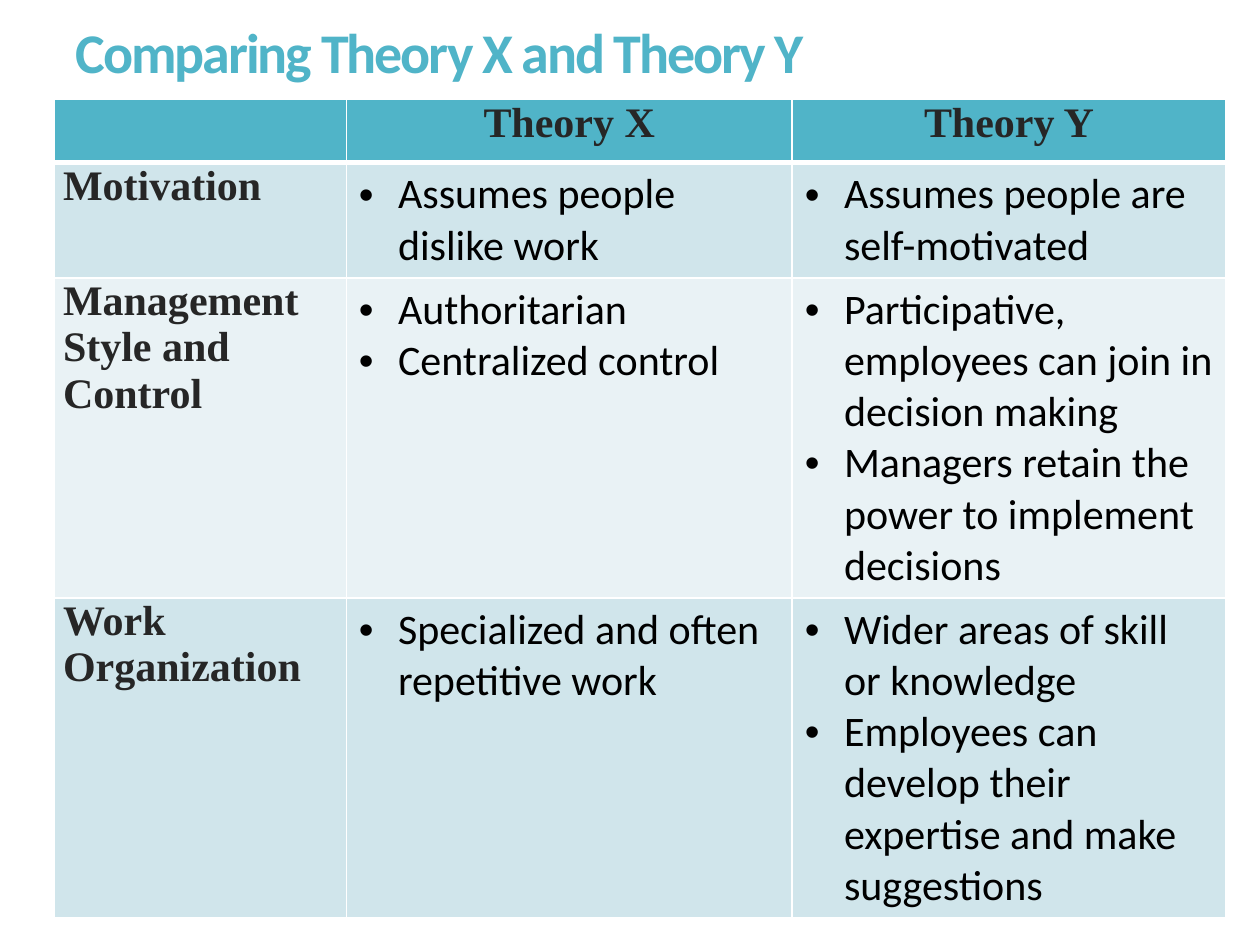
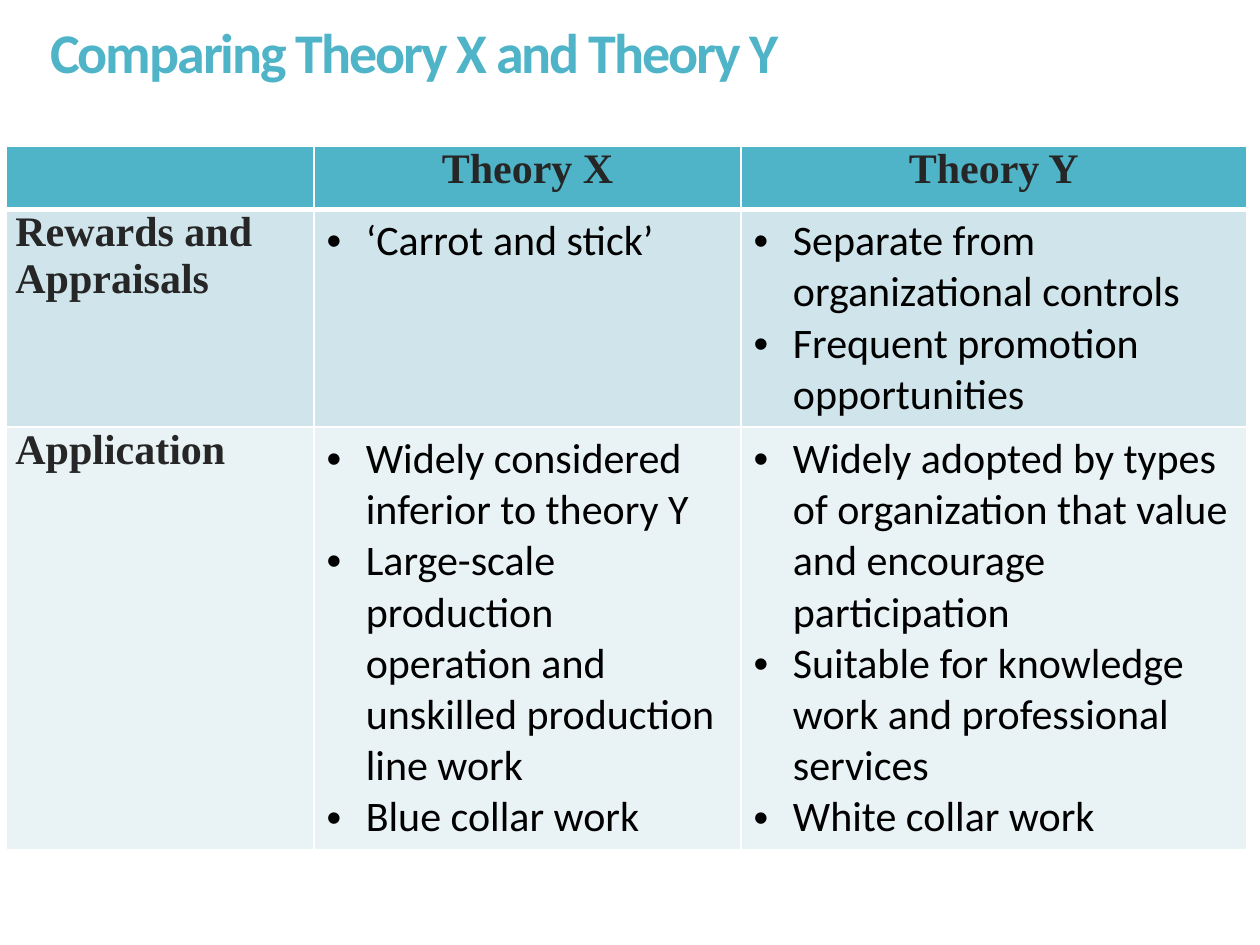
from pptx import Presentation
from pptx.dml.color import RGBColor
from pptx.enum.text import MSO_ANCHOR, MSO_AUTO_SIZE, PP_ALIGN
from pptx.oxml import parse_xml
from pptx.oxml.ns import nsdecls
from pptx.util import Cm, Pt

TEAL = RGBColor(0x50, 0xB4, 0xC8)
BAND_DARK = RGBColor(0xD0, 0xE5, 0xEB)
BAND_LIGHT = RGBColor(0xE9, 0xF2, 0xF5)
CHARCOAL = RGBColor(0x26, 0x26, 0x26)
BLACK = RGBColor(0, 0, 0)
WHITE = RGBColor(0xFF, 0xFF, 0xFF)

LEFT, CENTER, JUSTIFY = PP_ALIGN.LEFT, PP_ALIGN.CENTER, PP_ALIGN.JUSTIFY
TOP = MSO_ANCHOR.TOP
NO_AUTOFIT = MSO_AUTO_SIZE.NONE

TITLE_ONLY = 5
TITLE = "Comparing Theory X and Theory Y"
HEADERS = ["", "Theory X", "Theory Y"]
HEADER_HEIGHT = 1.27
BULLET_INDENT = Cm(0.79)


class Deck:
    """Holds the shared style and the current slide."""

    body_font = "Calibri"
    label_font = "Times New Roman"
    text_size = Pt(24)

    def __init__(self):
        self.prs = Presentation()
        self.prs.slide_width, self.prs.slide_height = Cm(25.4), Cm(19.05)
        self.s = None

    def slide(self):
        self.s = self.prs.slides.add_slide(self.prs.slide_layouts[TITLE_ONLY])
        self.s.background.fill.solid()
        self.s.background.fill.fore_color.rgb = WHITE

    def font(self, p, name, size, color, bold):
        p.font.name, p.font.size, p.font.bold = name, size, bold
        p.font.color.rgb = color

    def title(self, text, left):
        sp = self.s.shapes.title
        sp.left, sp.top, sp.width, sp.height = Cm(left), Cm(0.5), Cm(22.86), Cm(2.26)
        tf = sp.text_frame
        tf.text = text
        tf.auto_size, tf.vertical_anchor, tf.margin_top = NO_AUTOFIT, TOP, 0
        p = tf.paragraphs[0]
        p.alignment, p.line_spacing = LEFT, 0.9
        self.font(p, self.body_font, Pt(32), TEAL, True)
        p.runs[0]._r.get_or_add_rPr().set("spc", "-120")

    def borders(self, cell, top=1, bottom=1):
        tc_pr = cell._tc.get_or_add_tcPr()
        for side, width in (("L", 1), ("R", 1), ("T", top), ("B", bottom)):
            tc_pr.append(parse_xml(
                f'<a:ln{side} {nsdecls("a")} w="{Pt(width)}"><a:solidFill>'
                f'<a:srgbClr val="{WHITE}"/></a:solidFill></a:ln{side}>'))

    def fill(self, cell, color):
        cell.fill.solid()
        cell.fill.fore_color.rgb = color

    def label(self, cell, text, align):
        cell.margin_left = cell.margin_right = Cm(0.18)
        cell.margin_top = cell.margin_bottom = 0
        p = cell.text_frame.paragraphs[0]
        p.text, p.alignment = text, align
        self.font(p, self.label_font, self.text_size, CHARCOAL, True)

    def bullets(self, cell, items):
        tf = cell.text_frame
        for i, item in enumerate(items):
            p = tf.add_paragraph() if i else tf.paragraphs[0]
            p.text = item
            p_pr = p._p.get_or_add_pPr()
            p_pr.set("marL", str(BULLET_INDENT))
            p_pr.set("indent", str(-BULLET_INDENT))
            p_pr.append(parse_xml(f'<a:buFont {nsdecls("a")} typeface="Arial"/>'))
            p_pr.append(parse_xml(f'<a:buChar {nsdecls("a")} char="•"/>'))
            self.font(p, self.body_font, self.text_size, BLACK, False)

    def comparison(self, left, top, widths, rows, label_aligns=None):
        """Each row is (height, label, Theory X items, Theory Y items)."""
        heights = [HEADER_HEIGHT] + [row[0] for row in rows]
        table = self.s.shapes.add_table(
            len(heights), len(widths), Cm(left), Cm(top),
            Cm(sum(widths)), Cm(sum(heights))).table
        for column, width in zip(table.columns, widths):
            column.width = Cm(width)
        for row, height in zip(table.rows, heights):
            row.height = Cm(height)

        # Header row
        for c, text in enumerate(HEADERS):
            cell = table.cell(0, c)
            self.borders(cell, bottom=3)
            self.fill(cell, TEAL)
            self.label(cell, text, CENTER)

        # Banded body rows
        for r, (_, name, *columns) in enumerate(rows, 1):
            for c in range(len(widths)):
                cell = table.cell(r, c)
                self.borders(cell, top=3 if r == 1 else 1)
                self.fill(cell, BAND_DARK if r % 2 else BAND_LIGHT)
                if c:
                    self.bullets(cell, columns[c - 1])
                else:
                    self.label(cell, name, (label_aligns or {}).get(name, LEFT))


def main():
    deck = Deck()

    # Motivation, control and work organization
    deck.slide()
    deck.title(TITLE, 1.27)
    deck.comparison(1.09, 2.01, [5.89, 8.99, 8.74], [
        (2.32, "Motivation",
         ["Assumes people dislike work"],
         ["Assumes people are self-motivated"]),
        (6.45, "Management Style and Control",
         ["Authoritarian", "Centralized control"],
         ["Participative, employees can join in decision making",
          "Managers retain the power to implement decisions"]),
        (6.45, "Work Organization",
         ["Specialized and often repetitive work"],
         ["Wider areas of skill or knowledge",
          "Employees can develop their expertise and make suggestions"]),
    ])

    # Rewards and application
    deck.slide()
    deck.title(TITLE, 0.76)
    deck.comparison(0.13, 2.95, [6.2, 8.61, 10.19], [
        (4.39, "Rewards and Appraisals",
         ["‘Carrot and stick’"],
         ["Separate from organizational controls",
          "Frequent promotion opportunities"]),
        (8.51, "Application",
         ["Widely considered inferior to theory Y",
          "Large-scale production operation and unskilled production line work",
          "Blue collar work"],
         ["Widely adopted by types of organization that value and encourage participation",
          "Suitable for knowledge work and professional services",
          "White collar work"]),
    ], label_aligns={"Application": JUSTIFY})

    deck.prs.save("out.pptx")


if __name__ == "__main__":
    main()
